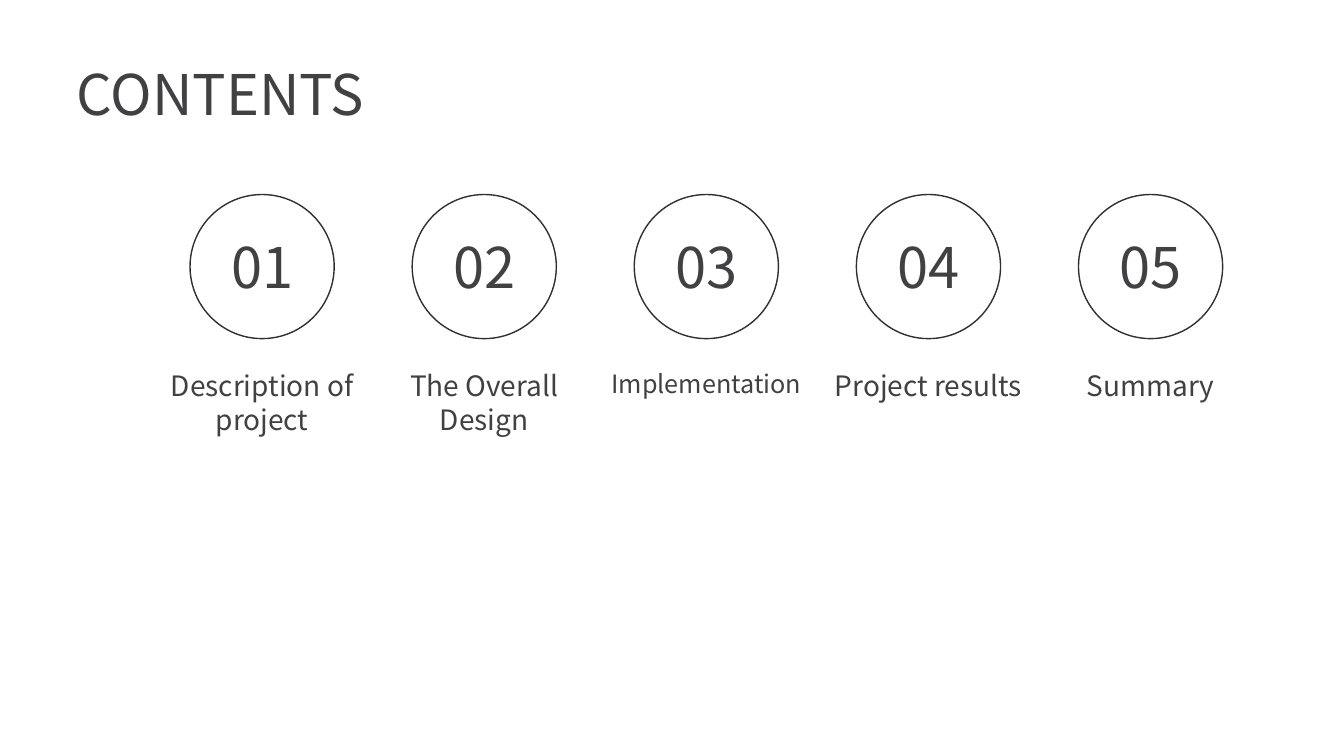
from pptx import Presentation
from pptx.dml.color import RGBColor
from pptx.enum.shapes import MSO_SHAPE
from pptx.enum.text import MSO_ANCHOR, PP_ALIGN
from pptx.util import Inches, Pt

# Content: label, type size
TITLE = "CONTENTS"
SECTIONS = [
    ("Description of project", 20),
    ("The Overall Design", 20),
    ("Implementation", 18),
    ("Project results", 20),
    ("Summary", 20),
]

THEME = {
    "font": "Noto Sans CJK SC",
    "text": RGBColor(0x41, 0x40, 0x42),
    "outline": RGBColor(0x31, 0x30, 0x31),
    "large": 40,
}

# Layout in inches
FIRST_CENTER, STEP = 2.6, 2.203
CIRCLE_TOP, DIAMETER = 1.93, 1.43
LABEL_TOP, LABEL_WIDTH = 3.61, 2.28


def write(shape, text, size):
    shape.text_frame.word_wrap = True
    paragraph = shape.text_frame.paragraphs[0]
    paragraph.text = text
    paragraph.alignment = PP_ALIGN.CENTER
    paragraph.font.name = THEME["font"]
    paragraph.font.size = Pt(size)
    paragraph.font.color.rgb = THEME["text"]


def add_text(slide, text, size, left, top, width, height):
    box = slide.shapes.add_textbox(Inches(left), Inches(top), Inches(width), Inches(height))
    write(box, text, size)


def add_circle(slide, text, center):
    circle = slide.shapes.add_shape(
        MSO_SHAPE.OVAL, Inches(center - DIAMETER / 2), Inches(CIRCLE_TOP),
        Inches(DIAMETER), Inches(DIAMETER))
    circle.shadow.inherit = False
    circle.fill.background()
    circle.line.color.rgb = THEME["outline"]
    circle.line.width = Pt(1)
    circle.text_frame.vertical_anchor = MSO_ANCHOR.MIDDLE
    write(circle, text, THEME["large"])


presentation = Presentation()
presentation.slide_width = Inches(13.33)
presentation.slide_height = Inches(7.5)
slide = presentation.slides.add_slide(presentation.slide_layouts[6])

# Title
add_text(slide, TITLE, THEME["large"], 0.53, 0.54, 3.31, 0.77)

# Numbered sections
for index, (label, size) in enumerate(SECTIONS):
    center = FIRST_CENTER + index * STEP
    height = 0.77 if index < 2 else 0.44
    add_text(slide, label, size, center - LABEL_WIDTH / 2, LABEL_TOP, LABEL_WIDTH, height)
    add_circle(slide, f"{index + 1:02}", center)

presentation.save("out.pptx")
